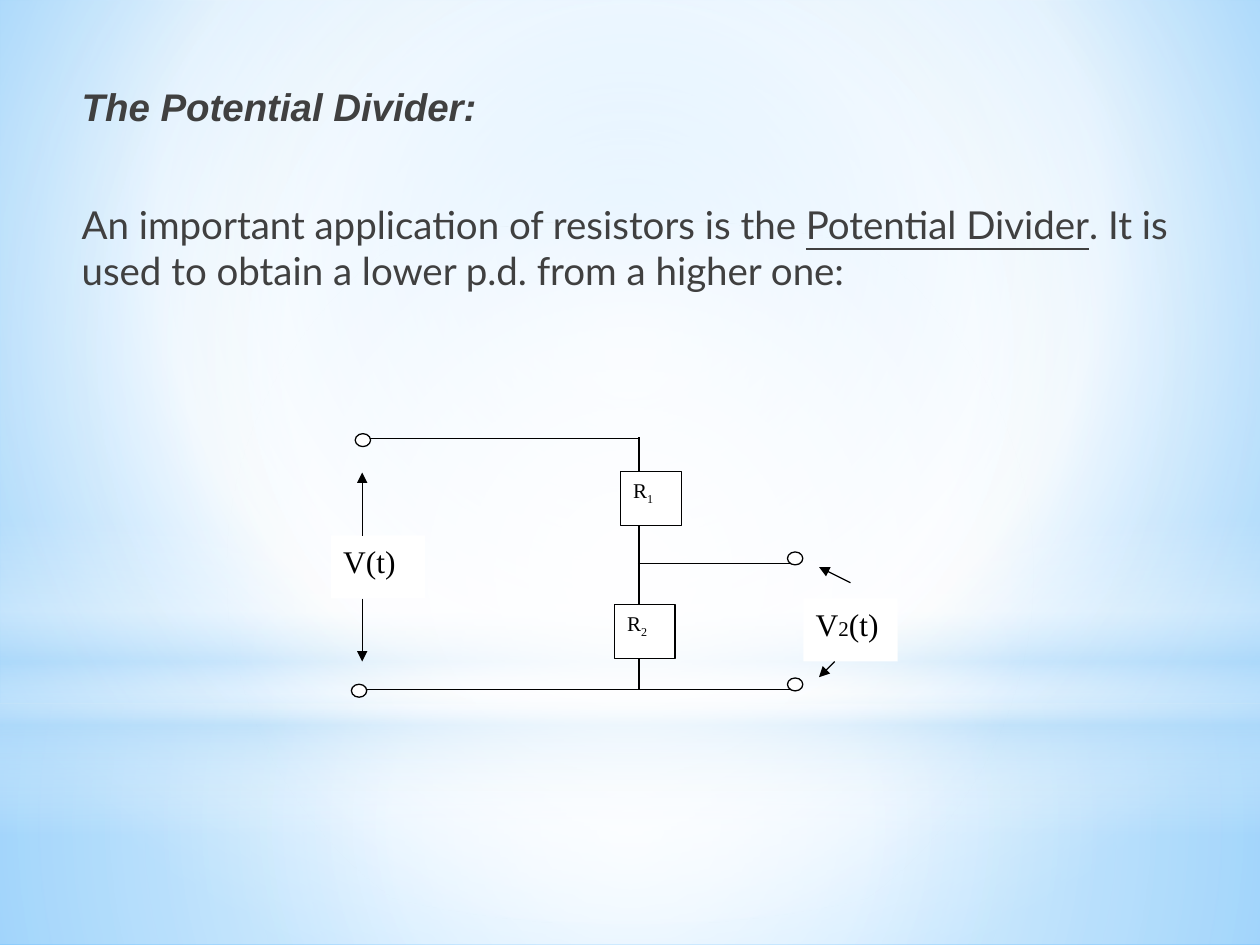
import pptx
import pptx.dml.color
import pptx.enum.shapes
import pptx.enum.text
import pptx.oxml
import pptx.oxml.ns
import pptx.util

Pt = pptx.util.Pt
RGB = pptx.dml.color.RGBColor
SHAPE = pptx.enum.shapes.MSO_SHAPE
STRAIGHT = pptx.enum.shapes.MSO_CONNECTOR.STRAIGHT
NS = pptx.oxml.ns.nsdecls("a")

BLACK = RGB(0, 0, 0)
WHITE = RGB(0xFF, 0xFF, 0xFF)
GREY = RGB(0x40, 0x40, 0x40)
SKY = RGB(0x9E, 0xD5, 0xFF)
BLUE = RGB(0x5B, 0xB9, 0xFF)
PALE = RGB(0xB4, 0xDC, 0xFA)

# Gradients: stops of (position %, colour, opacity %), then the focus
# rectangle (left, top, right, bottom %), or None for a vertical gradient.
CENTRE = (50, 50, 50, 50)
BACKDROP = ([(0, SKY, 100), (60, WHITE, 100), (100, BLUE, 100)], (20, 10, 20, 60))
GLOWS = [  # preset, (left, top, width, height), gradient
    (SHAPE.RECTANGLE, (0, 402, 720, 138),
     ([(0, WHITE, 91), (37, WHITE, 76), (100, PALE, 79)], CENTRE)),
    (SHAPE.RECTANGLE, (0, 0, 720, 402),
     ([(0, WHITE, 89), (48, WHITE, 62), (100, PALE, 79)], CENTRE)),
    (SHAPE.RECTANGLE, (0, 297, 720, 180),
     ([(0, WHITE, 0), (29, WHITE, 30), (45, PALE, 40), (55, WHITE, 26),
       (65, PALE, 60), (100, WHITE, 0)], None)),
    (SHAPE.OVAL, (0, 126, 720, 402), ([(0, WHITE, 100), (56, WHITE, 0)], CENTRE)),
]

HEADING = "The Potential Divider:"
SENTENCE = [  # text, underlined
    ("An important application of resistors is the ", False),
    ("Potential Divider", True),
    (". It is used to obtain a lower p.d. from a higher one:", False),
]

WIRES = [  # from, to
    ((206.6, 250.6), (364.5, 250.6)),
    ((205.2, 394), (457, 394)),
    ((365.2, 394), (365.2, 250)),
    ((364.5, 322), (455, 322)),
]
ARROWS = [
    ((207, 306), (207, 270)),
    ((207, 342), (207, 378)),
    ((486, 333), (468, 324)),
    ((477, 378), (468, 387)),
]
RESISTOR_SIZE = (34.6, 31)
RESISTORS = [((354.7, 269.3), "1"), ((351.2, 345.4), "2")]
TERMINAL_SIZE = (8.8, 7.4)
TERMINALS = [(203, 247.8), (200.8, 391), (450, 387.4), (450, 315.4)]
VOLTAGE_SIZE = (54, 36)
VOLTAGES = [  # place, runs of (text, size)
    ((189, 306), [("V(t)", 18)]),
    ((459, 342), [("V", 18), ("2", 12), ("(t)", 18)]),
]


def set_gradient(fill, properties, stops, focus):
    """Replace the solid fill of the properties element by a gradient."""
    fill.solid()
    stop_xml = "".join(
        f'<a:gs pos="{pos * 1000}"><a:srgbClr val="{colour}">'
        f'<a:alpha val="{opacity * 1000}"/></a:srgbClr></a:gs>'
        for pos, colour, opacity in stops)
    if focus:
        sides = " ".join(f'{side}="{value * 1000}"' for side, value in zip("ltrb", focus))
        direction = f'<a:path path="circle"><a:fillToRect {sides}/></a:path>'
    else:
        direction = '<a:lin ang="5400000" scaled="0"/>'
    solid = properties.find(pptx.oxml.ns.qn("a:solidFill"))
    properties.replace(solid, pptx.oxml.parse_xml(
        f'<a:gradFill {NS} rotWithShape="1"><a:gsLst>{stop_xml}</a:gsLst>{direction}</a:gradFill>'))


def add_shape(slide, preset, place, size, outlined=True):
    shape = slide.shapes.add_shape(preset, *map(Pt, place + size))
    shape.shadow.inherit = False
    shape.fill.solid()
    shape.fill.fore_color.rgb = WHITE
    if outlined:
        shape.line.color.rgb = BLACK
        shape.line.width = Pt(0.75)
    else:
        shape.line.fill.background()
    return shape


def add_line(slide, start, end, arrow=False):
    line = slide.shapes.add_connector(STRAIGHT, *map(Pt, start + end))
    line.line.color.rgb = BLACK
    line.line.width = Pt(0.75)
    if arrow:
        line.line._get_or_add_ln().append(
            pptx.oxml.parse_xml(f'<a:tailEnd {NS} type="triangle"/>'))
    line._element.spPr.append(pptx.oxml.parse_xml(f"<a:effectLst {NS}/>"))


def add_label(shape, runs):
    """Write runs of (text, size) at the top left of the shape."""
    shape.text_frame.vertical_anchor = pptx.enum.text.MSO_ANCHOR.TOP
    label = shape.text_frame.paragraphs[0]
    label.alignment = pptx.enum.text.PP_ALIGN.LEFT
    label.font.name = "Times New Roman"
    label.font.color.rgb = BLACK
    for text, size in runs:
        run = label.add_run()
        run.text = text
        run.font.size = Pt(size)
        run.font.name = "Times New Roman"
        run.font.color.rgb = BLACK
    return label


def add_body(slide):
    frame = slide.shapes.add_textbox(Pt(39.6), Pt(43.7), Pt(656), Pt(130)).text_frame
    frame.word_wrap = True
    heading = frame.paragraphs[0]
    heading.text = HEADING
    heading.font.name = "Arial"
    heading.font.bold = heading.font.italic = True
    sentence = frame.add_paragraph()
    sentence.space_before = Pt(41)
    sentence.font.name = "Lato"
    for text, underlined in SENTENCE:
        run = sentence.add_run()
        run.text = text
        if underlined:
            run.font.underline = True
    for paragraph in (heading, sentence):
        paragraph.font.size = Pt(22)
        paragraph.font.color.rgb = GREY
        for run in paragraph.runs:
            run.font.name = paragraph.font.name


def main():
    deck = pptx.Presentation()
    deck.slide_width, deck.slide_height = Pt(720), Pt(540)
    slide = deck.slides.add_slide(deck.slide_layouts[6])

    backdrop = slide.background.fill
    backdrop.solid()
    set_gradient(backdrop, slide._element.cSld.bg.bgPr, *BACKDROP)
    for preset, bounds, gradient in GLOWS:
        glow = add_shape(slide, preset, bounds[:2], bounds[2:], outlined=False)
        set_gradient(glow.fill, glow._element.spPr, *gradient)

    add_body(slide)
    for start, end in WIRES:
        add_line(slide, start, end)
    for place, number in RESISTORS:
        resistor = add_shape(slide, SHAPE.RECTANGLE, place, RESISTOR_SIZE)
        label = add_label(resistor, [("R", 12), (number, 12)])
        label.runs[1].font._element.set("baseline", "-25000")
    for place in TERMINALS:
        add_shape(slide, SHAPE.OVAL, place, TERMINAL_SIZE)
    for place, runs in VOLTAGES:
        add_label(add_shape(slide, SHAPE.RECTANGLE, place, VOLTAGE_SIZE, outlined=False), runs)
    for start, end in ARROWS:
        add_line(slide, start, end, arrow=True)

    deck.save("out.pptx")


if __name__ == "__main__":
    main()
